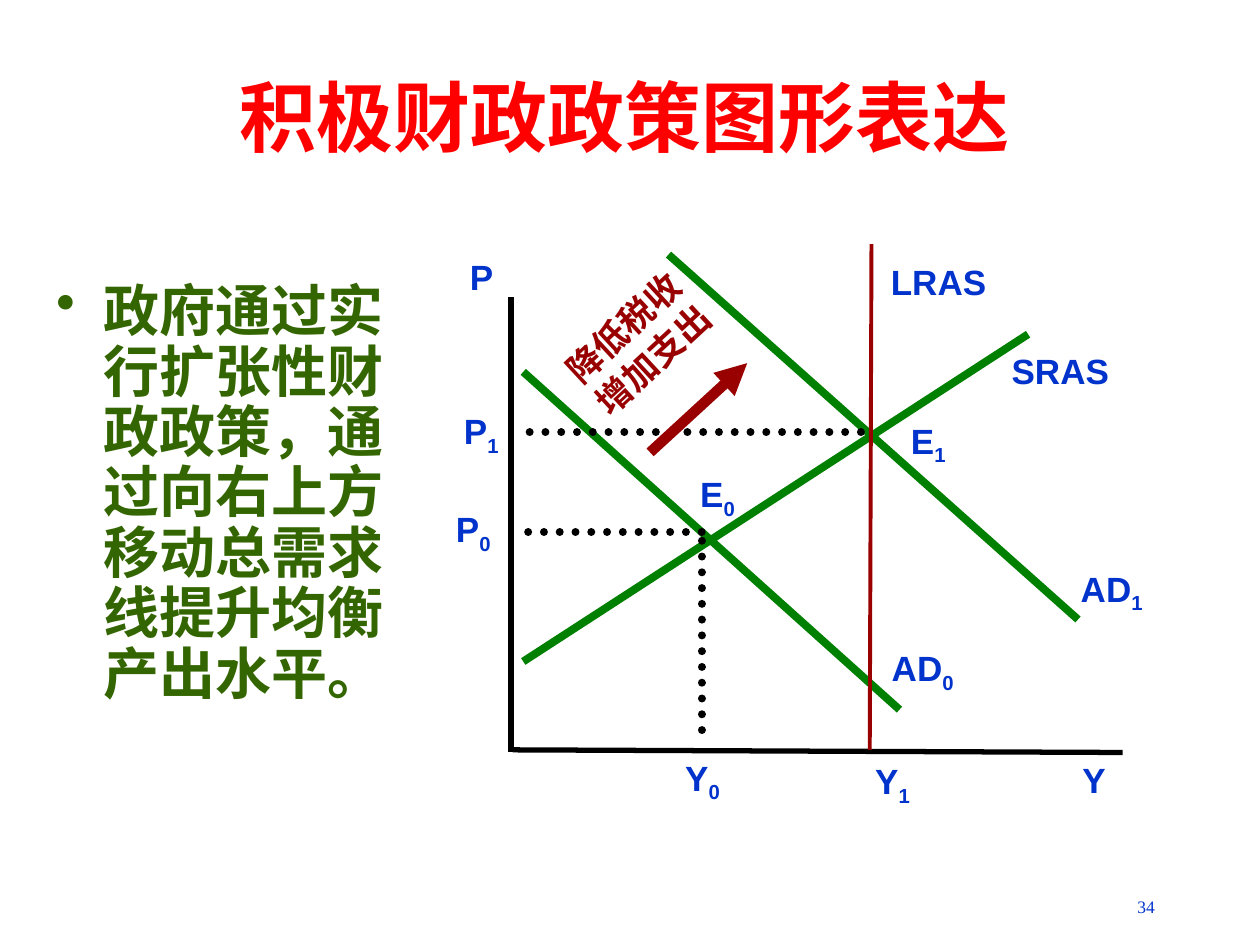
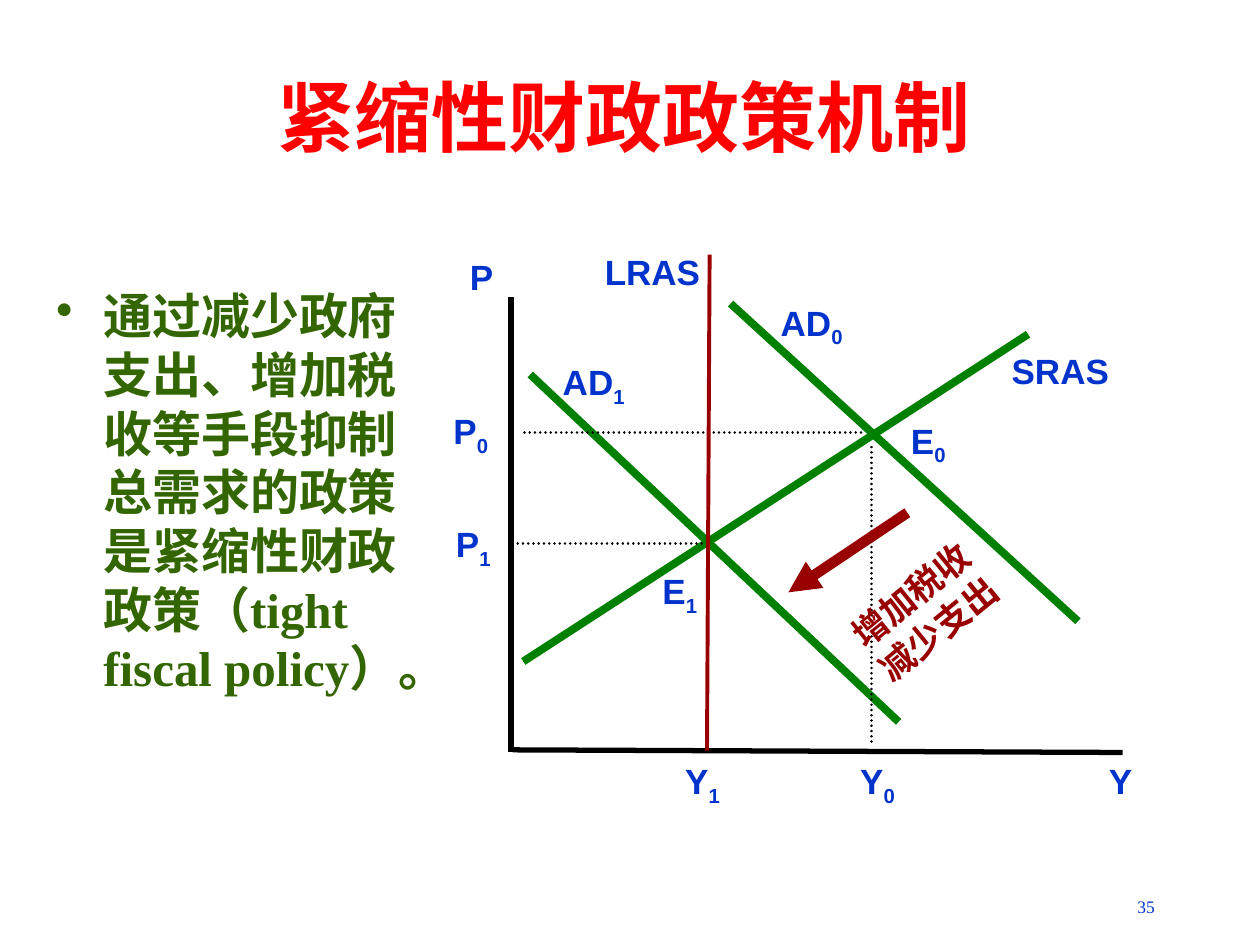
"""Build two slides on expansionary and contractionary fiscal policy."""
from lxml.etree import SubElement
from pptx import Presentation
from pptx.dml.color import RGBColor
from pptx.enum.dml import MSO_LINE
from pptx.enum.shapes import MSO_CONNECTOR
from pptx.enum.text import MSO_ANCHOR, MSO_AUTO_SIZE, PP_ALIGN
from pptx.oxml.ns import qn
from pptx.util import Pt

COLOURS = {
    "title": "FF0000",
    "body": "336600",
    "label": "0033CC",
    "curve": "008000",
    "policy": "990000",
    "axis": "000000",
}
CJK_FONT = "Noto Sans CJK SC"
AXES = [((292, 170), (292, 430)), ((293, 428.5), (641.5, 430))]
SRAS = ((299, 378), (587.5, 191))
SPECK = ((341.3, 280), (341.3, 280))
SHARED_LABELS = [("P", "", 261.5, 142.5), ("SRAS", "", 571, 196)]

SLIDES = [
    {
        "title": "积极财政政策图形表达",
        "body": "政府通过实行扩张性财政政策，通过向右上方移动总需求线提升均衡产出水平。",
        "body_box": (25, 158, 215.5, 270),
        "body_font": (CJK_FONT, 32, 34.5),
        "page": "34",
        "demand": [((616, 354), (382, 145.5)), ((299, 212.5), (514, 405.5))],
        "guides": [
            ((401, 304), (293, 304)),
            ((492, 247), (299, 247)),
            ((401, 309), (401, 425.5)),
        ],
        "guide_width": 4.5,
        "lras": ((498, 139.5), (497, 428.5)),
        "shift": ((371.5, 258.5), (427, 207.5)),
        "measures": ["降低税收", "增加支出"],
        "measures_box": (316, 167, 96, 54.5),
        "measures_angle": 317.2,
        "labels": [
            ("AD", "0", 502.5, 366),
            ("AD", "1", 610.5, 320.5),
            ("E", "0", 393, 266.5),
            ("E", "1", 513.5, 236),
            ("P", "1", 258, 230.5),
            ("P", "0", 253.5, 286.5),
            ("Y", "0", 384.5, 428.5),
            ("Y", "1", 493, 430.5),
            ("Y", "", 611.5, 430),
            ("LRAS", "", 502, 145.5),
        ],
    },
    {
        "title": "紧缩性财政政策机制",
        "body": "通过减少政府支出、增加税收等手段抑制总需求的政策是紧缩性财政政策"
                "（tight fiscal policy）。",
        "body_box": (25, 160, 232.5, 289.5),
        "body_font": ("Times New Roman", 28, 33.5),
        "page": "35",
        "demand": [((616, 355), (417.5, 173.5)), ((303, 214), (513.5, 412.5))],
        "guides": [
            ((401, 310.5), (293, 310.5)),
            ((492, 247), (299, 247)),
            ((498, 255.5), (498, 425.5)),
        ],
        "guide_width": 1.5,
        "lras": ((405.5, 145.5), (404, 429)),
        "shift": ((518.5, 293), (450.5, 338.5)),
        "measures": ["增加税收", "减少支出"],
        "measures_box": (478, 320.5, 97, 49),
        "measures_angle": 320.9,
        "labels": [
            ("Y", "1", 384.5, 430.5),
            ("Y", "0", 484.5, 430.5),
            ("Y", "", 626.5, 430.5),
            ("AD", "1", 314.5, 202.5),
            ("AD", "0", 439, 168.5),
            ("E", "1", 371.5, 322),
            ("E", "0", 513.5, 236),
            ("P", "0", 252, 230.5),
            ("P", "1", 253.5, 295),
            ("LRAS", "", 338.5, 139.5),
        ],
    },
]


def style(paragraph, colour, size, font="Arial", bold=True):
    paragraph.font.name = font
    paragraph.font.size = Pt(size)
    paragraph.font.bold = bold
    paragraph.font.color.rgb = RGBColor.from_string(COLOURS[colour])
    defaults = paragraph._p.get_or_add_pPr().find(qn("a:defRPr"))
    SubElement(defaults, qn("a:ea"), typeface=CJK_FONT)


def add_text_box(slide, box):
    text_box = slide.shapes.add_textbox(*map(Pt, box))
    text_box.text_frame.word_wrap = True
    return text_box


def add_line(slide, ends, colour, width):
    start, end = ends
    line = slide.shapes.add_connector(MSO_CONNECTOR.STRAIGHT, *map(Pt, start + end))
    line.line.color.rgb = RGBColor.from_string(COLOURS[colour])
    line.line.width = Pt(width)
    SubElement(line._element.spPr, qn("a:effectLst"))
    return line


def add_title(slide, wording):
    title = slide.shapes.title
    title.left, title.top, title.width, title.height = map(Pt, (102, 30, 510, 72))
    frame = title.text_frame
    frame.text = wording
    frame.auto_size = MSO_AUTO_SIZE.NONE
    frame.vertical_anchor = MSO_ANCHOR.MIDDLE
    frame.paragraphs[0].alignment = PP_ALIGN.CENTER
    style(frame.paragraphs[0], "title", 44)


def add_body(slide, wording, box, font, size, pitch):
    paragraph = add_text_box(slide, box).text_frame.paragraphs[0]
    paragraph.text = wording
    paragraph.line_spacing = Pt(pitch)
    properties = paragraph._p.get_or_add_pPr()
    properties.set("marL", str(Pt(27)))
    properties.set("indent", str(Pt(-27)))
    bullet_colour = SubElement(properties, qn("a:buClr"))
    SubElement(bullet_colour, qn("a:srgbClr"), val=COLOURS["body"])
    SubElement(properties, qn("a:buChar"), char="•")
    style(paragraph, "body", size, font)


def add_label(slide, name, subscript, left, top):
    paragraph = add_text_box(slide, (left, top, 75, 36)).text_frame.paragraphs[0]
    paragraph.add_run().text = name
    if subscript:
        index = paragraph.add_run()
        index.text = subscript
        index._r.get_or_add_rPr().set("baseline", "-25000")
    style(paragraph, "label", 20)


def add_measures(slide, measures, box, angle):
    text_box = add_text_box(slide, box)
    text_box.rotation = angle
    text_box.text_frame.text = "\n".join(measures)
    for paragraph in text_box.text_frame.paragraphs:
        paragraph.line_spacing = Pt(25)
        style(paragraph, "policy", 20)


def add_diagram(slide, content):
    for axis in AXES:
        add_line(slide, axis, "axis", 3)
    for curve in [*content["demand"], SRAS]:
        add_line(slide, curve, "curve", 4.5)
    add_line(slide, SPECK, "axis", 0.75)
    for ends in content["guides"]:
        guide = add_line(slide, ends, "axis", content["guide_width"])
        guide.line.dash_style = MSO_LINE.ROUND_DOT
        guide.line._get_or_add_ln().set("cap", "rnd")
    add_line(slide, content["lras"], "policy", 2.25)
    shift = add_line(slide, content["shift"], "policy", 6)
    SubElement(shift.line._get_or_add_ln(), qn("a:tailEnd"), type="triangle")
    add_measures(slide, content["measures"], content["measures_box"],
                 content["measures_angle"])
    for label in SHARED_LABELS + content["labels"]:
        add_label(slide, *label)


def add_page_number(slide, number):
    paragraph = add_text_box(slide, (517, 508.5, 150, 20)).text_frame.paragraphs[0]
    paragraph.text = number
    paragraph.alignment = PP_ALIGN.RIGHT
    style(paragraph, "label", 10, "Times New Roman", bold=False)


def main():
    deck = Presentation()
    deck.slide_width, deck.slide_height = Pt(720), Pt(540)
    for content in SLIDES:
        slide = deck.slides.add_slide(deck.slide_layouts[5])
        add_title(slide, content["title"])
        add_body(slide, content["body"], content["body_box"], *content["body_font"])
        add_diagram(slide, content)
        add_page_number(slide, content["page"])
    deck.save("out.pptx")


if __name__ == "__main__":
    main()
